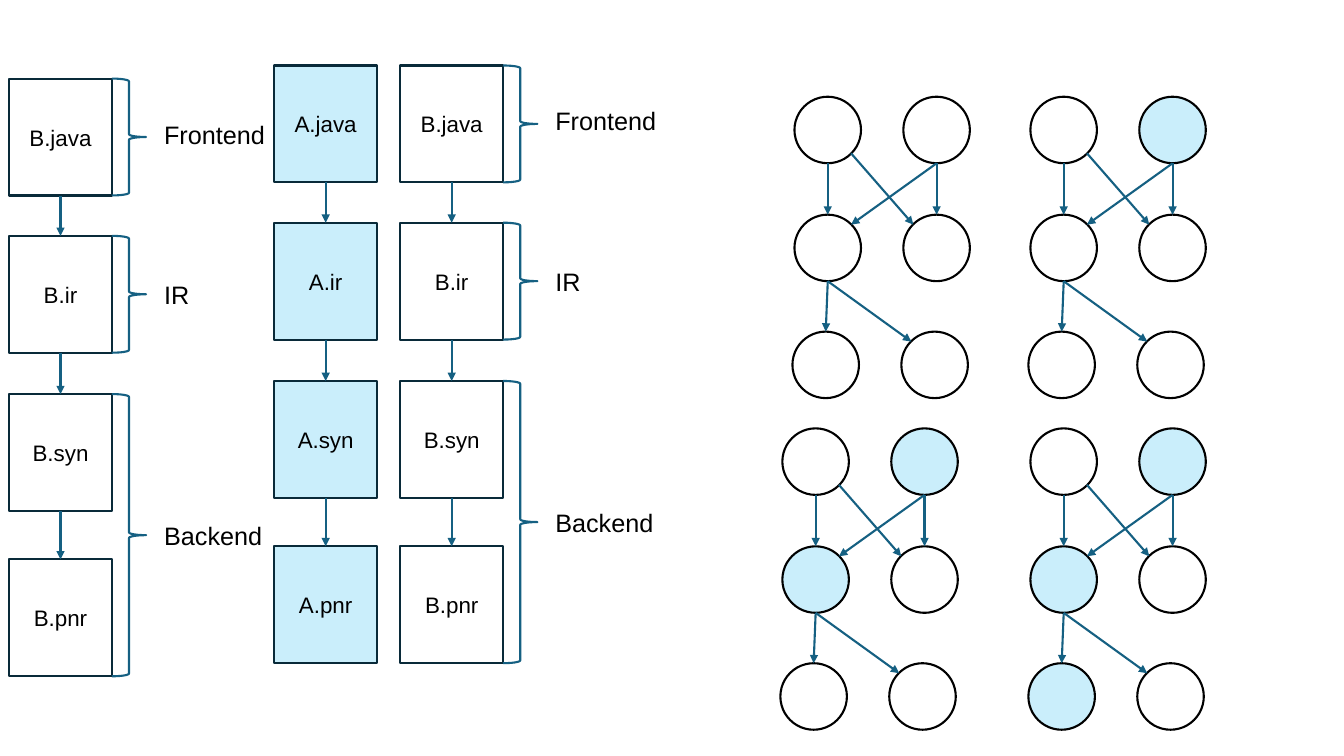
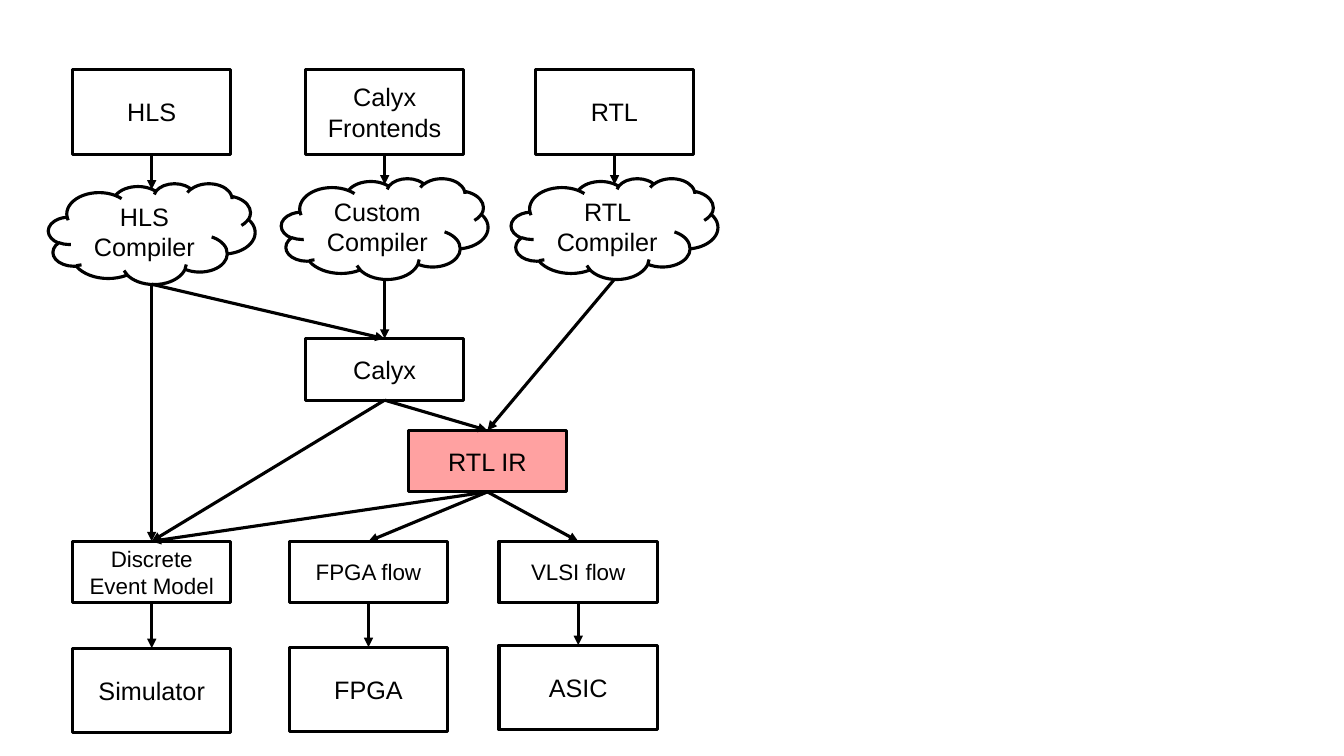
from dataclasses import dataclass
from itertools import pairwise

from lxml import etree
from pptx import Presentation
from pptx.dml.color import RGBColor
from pptx.enum import shapes, text
from pptx.oxml import ns
from pptx.util import Inches, Pt


@dataclass(frozen=True)
class Theme:
    font: str = "Arial"
    ink: str = "000000"
    box_edge: str = "092A39"
    accent: str = "156082"
    highlight: str = "CAEEFB"
    alert: str = "FF0000"
    alert_alpha: int = 37
    label_size: int = 18
    small_size: int = 16
    thin: float = 1.5
    thick: float = 2.25


THEME = Theme()
RECT = shapes.MSO_SHAPE.RECTANGLE
OVAL = shapes.MSO_SHAPE.OVAL
CLOUD = shapes.MSO_SHAPE.CLOUD
BRACE = shapes.MSO_SHAPE.RIGHT_BRACE

# Connection sites: index, then position as a fraction of width and height.
SITES = {
    RECT: {"top": (0, 0.5, 0), "bottom": (2, 0.5, 1)},
    CLOUD: {"top": (3, 0.5, 0.06), "bottom": (1, 0.5, 1)},
    OVAL: {
        "top": (0, 0.5, 0),
        "top left": (1, 0.15, 0.15),
        "bottom": (4, 0.5, 1),
        "bottom right": (5, 0.85, 0.85),
        "top right": (7, 0.85, 0.15),
    },
}

# File extension and top of each compiler stage, relative to the first one.
STAGES = [("java", 0), ("ir", 1.56), ("syn", 3.13), ("pnr", 4.77)]
# Phase name, first stage, last stage, vertical shift of the label.
PHASES = [("Frontend", 0, 0, -0.03), ("IR", 1, 1, 0), ("Backend", 2, 3, 0)]
STAGE_WIDTH, STAGE_HEIGHT = 1.02, 1.16

NODE_SIZE = 0.66
# Offsets from the graph's corner.
GRAPH_NODES = {
    "a": (0, 0), "b": (1.08, 0),
    "c": (0, 1.17), "d": (1.08, 1.17),
    "e": (-0.02, 2.33), "f": (1.06, 2.33),
}
GRAPH_EDGES = [
    ("a", "bottom right", "d", "top left"),
    ("a", "bottom", "c", "top"),
    ("b", "bottom", "c", "top right"),
    ("b", "bottom", "d", "top"),
    ("c", "bottom", "e", "top"),
    ("c", "bottom", "f", "top left"),
]
# Left, top and highlighted nodes of each graph.
GRAPHS = [(7.88, 0.96, ""), (10.22, 0.96, "b"), (7.76, 4.25, "bc"), (10.22, 4.25, "bce")]

TALL, LOW, BOX_WIDTH = 0.84, 0.61, 1.57
CLOUD_WIDTH, CLOUD_HEIGHT = 2.05, 1
EVENT_MODEL = "Discrete\nEvent Model"
# Text, left, top, height, type size.
FLOW_BOXES = [
    ("HLS", 0.72, 0.69, TALL, THEME.label_size),
    ("Calyx Frontends", 3.03, 0.69, TALL, THEME.label_size),
    ("RTL", 5.31, 0.69, TALL, THEME.label_size),
    ("Calyx", 3.03, 3.36, LOW, THEME.label_size),
    ("RTL IR", 4.05, 4.27, LOW, THEME.label_size),
    (EVENT_MODEL, 0.72, 5.37, LOW, THEME.small_size),
    ("FPGA flow", 2.87, 5.37, LOW, THEME.small_size),
    ("VLSI flow", 4.95, 5.37, LOW, THEME.small_size),
    ("Simulator", 0.72, 6.43, TALL, THEME.label_size),
    ("FPGA", 2.87, 6.42, TALL, THEME.label_size),
    ("ASIC", 4.95, 6.4, TALL, THEME.label_size),
]
FLOW_CLOUDS = [
    ("HLS Compiler", 0.48, 1.82),
    ("Custom Compiler", 2.79, 1.77),
    ("RTL Compiler", 5.07, 1.77),
]
FLOW_EDGES = [
    ("HLS", "HLS Compiler"),
    ("Calyx Frontends", "Custom Compiler"),
    ("RTL", "RTL Compiler"),
    ("HLS Compiler", "Calyx"),
    ("HLS Compiler", EVENT_MODEL),
    ("Custom Compiler", "Calyx"),
    ("RTL Compiler", "RTL IR"),
    ("Calyx", "RTL IR"),
    ("Calyx", EVENT_MODEL),
    ("RTL IR", EVENT_MODEL),
    ("RTL IR", "FPGA flow"),
    ("RTL IR", "VLSI flow"),
    (EVENT_MODEL, "Simulator"),
    ("FPGA flow", "FPGA"),
    ("VLSI flow", "ASIC"),
]


def color(value):
    return RGBColor.from_string(value)


def set_line(shape, line_color, width):
    shape.line.color.rgb = color(line_color)
    shape.line.width = Pt(width)


def set_text(shape, content, size, alignment):
    shape.text_frame.text = content
    for paragraph in shape.text_frame.paragraphs:
        paragraph.alignment = alignment
        for run in paragraph.runs:
            run.font.name = THEME.font
            run.font.size = Pt(size)
            run.font.color.rgb = color(THEME.ink)


def add_outline(slide, kind, box, line_color, width, fill=None):
    """Add a preset shape at box (left, top, width, height) in inches."""
    shape = slide.shapes.add_shape(kind, *map(Inches, box))
    shape.shadow.inherit = False
    set_line(shape, line_color, width)
    if fill:
        shape.fill.solid()
        shape.fill.fore_color.rgb = color(fill)
    else:
        shape.fill.background()
    return shape


def add_labeled(slide, kind, box, content, size, line_color, width, fill=None):
    shape = add_outline(slide, kind, box, line_color, width, fill)
    set_text(shape, content, size, text.PP_ALIGN.CENTER)
    return shape


def add_label(slide, left, middle, content):
    height = 0.4
    label = slide.shapes.add_textbox(*map(Inches, (left, middle - height / 2, 1.3, height)))
    label.text_frame.word_wrap = True
    set_text(label, content, THEME.label_size, text.PP_ALIGN.LEFT)


def site_position(shape, site):
    """Return the site's index and its x and y on the slide."""
    index, across, down = SITES[shape.auto_shape_type][site]
    return index, round(shape.left + across * shape.width), round(shape.top + down * shape.height)


def add_arrow(slide, source, target, line_color, width, source_site="bottom", target_site="top"):
    """Draw an arrow glued to a site of each shape."""
    source_index, *start = site_position(source, source_site)
    target_index, *end = site_position(target, target_site)
    connector = slide.shapes.add_connector(shapes.MSO_CONNECTOR.STRAIGHT, *start, *end)
    set_line(connector, line_color, width)
    element = connector.element
    glue = element.find(f".//{ns.qn('p:cNvCxnSpPr')}")
    for tag, shape, index in (
        ("a:stCxn", source, source_index),
        ("a:endCxn", target, target_index),
    ):
        etree.SubElement(glue, ns.qn(tag), id=str(shape.shape_id), idx=str(index))
    properties = element.find(ns.qn("p:spPr"))
    etree.SubElement(properties.find(ns.qn("a:ln")), ns.qn("a:tailEnd"), type="triangle")
    etree.SubElement(properties, ns.qn("a:effectLst"))


def set_alpha(shape, percent):
    fill_color = shape.element.find(f"{ns.qn('p:spPr')}/{ns.qn('a:solidFill')}/{ns.qn('a:srgbClr')}")
    etree.SubElement(fill_color, ns.qn("a:alpha"), val=str(percent * 1000))


def add_pipeline(slide, name, left, top, fill=None):
    """Add one file's column of compiler stages."""
    boxes = [
        add_labeled(slide, RECT, (left, top + offset, STAGE_WIDTH, STAGE_HEIGHT),
                    f"{name}.{extension}", THEME.small_size, THEME.box_edge, THEME.thin, fill)
        for extension, offset in STAGES
    ]
    for source, target in pairwise(boxes):
        add_arrow(slide, source, target, THEME.accent, THEME.thin)


def add_phases(slide, left, top):
    """Add braces and names for the phases right of a pipeline."""
    for name, first, last, shift in PHASES:
        start = top + STAGES[first][1]
        height = STAGES[last][1] - STAGES[first][1] + STAGE_HEIGHT
        brace = add_outline(slide, BRACE, (left, start, 0.34, height), THEME.accent, THEME.thin)
        brace.adjustments[0] = 0.08
        brace.adjustments[1] = 0.5
        add_label(slide, left + 0.42, start + height / 2 + shift, name)


def add_graph(slide, left, top, highlighted):
    nodes = {
        name: add_outline(slide, OVAL, (left + across, top + down, NODE_SIZE, NODE_SIZE),
                          THEME.ink, THEME.thin,
                          THEME.highlight if name in highlighted else None)
        for name, (across, down) in GRAPH_NODES.items()
    }
    for source, source_site, target, target_site in GRAPH_EDGES:
        add_arrow(slide, nodes[source], nodes[target], THEME.accent, THEME.thin,
                  source_site, target_site)


def build_pipelines(slide):
    add_pipeline(slide, "B", 0.09, 0.78)
    add_phases(slide, 1.11, 0.78)
    add_pipeline(slide, "A", 2.72, 0.65, THEME.highlight)
    add_pipeline(slide, "B", 3.97, 0.65)
    add_phases(slide, 4.99, 0.65)
    for graph in GRAPHS:
        add_graph(slide, *graph)


def build_flow(slide):
    nodes = {}
    for content, left, top, height, size in FLOW_BOXES:
        nodes[content] = add_labeled(
            slide, RECT, (left, top, BOX_WIDTH, height), content, size, THEME.ink, THEME.thick,
            THEME.alert if content == "RTL IR" else None)
    set_alpha(nodes["RTL IR"], THEME.alert_alpha)
    for content, left, top in FLOW_CLOUDS:
        nodes[content] = add_labeled(
            slide, CLOUD, (left, top, CLOUD_WIDTH, CLOUD_HEIGHT), content,
            THEME.label_size, THEME.ink, THEME.thick)
    for source, target in FLOW_EDGES:
        add_arrow(slide, nodes[source], nodes[target], THEME.ink, THEME.thick)


def main():
    presentation = Presentation()
    presentation.slide_width = Inches(13.33)
    presentation.slide_height = Inches(7.5)
    blank = presentation.slide_layouts[6]
    for build in (build_pipelines, build_flow):
        build(presentation.slides.add_slide(blank))
    presentation.save("out.pptx")


if __name__ == "__main__":
    main()
